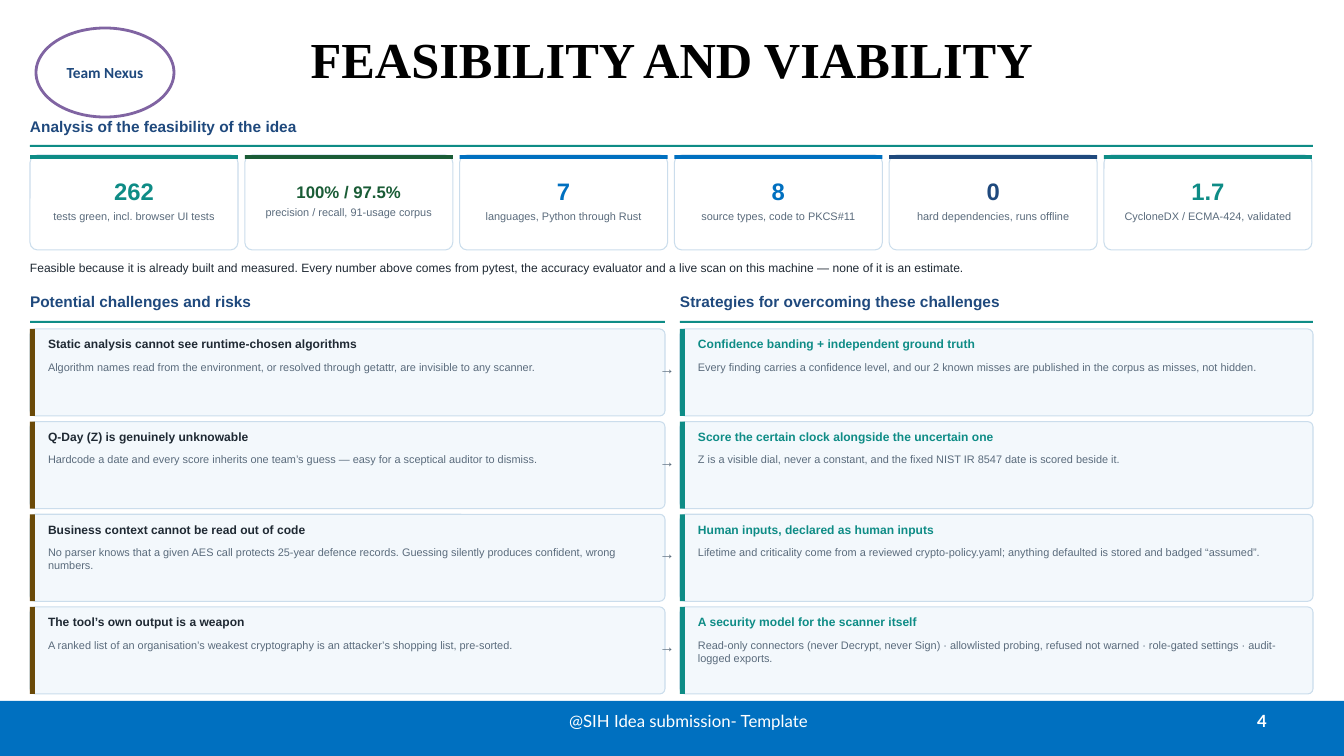
from collections import namedtuple

from pptx import Presentation
from pptx import util as u
from pptx.dml.color import RGBColor
from pptx.enum import shapes, text

PX = 914400 / 100.8
COLORS = {
    "white": "FFFFFF", "black": "000000", "blue": "0070C0", "navy": "1F497D",
    "teal": "0E8C86", "green": "1A5C36", "brown": "6B4A08", "purple": "8064A2",
    "ink": "1F2933", "grey": "5A6B7C", "border": "CBDDEC", "panel": "F3F8FC",
}
Box = namedtuple("Box", "left top width height")
SHAPE = shapes.MSO_SHAPE
ALIGN = text.PP_ALIGN
ANCHOR = text.MSO_ANCHOR

METRICS = [
    ("262", "tests green, incl. browser UI tests", "teal", 17),
    ("100% / 97.5%", "precision / recall, 91-usage corpus", "green", 12),
    ("7", "languages, Python through Rust", "blue", 17),
    ("8", "source types, code to PKCS#11", "blue", 17),
    ("0", "hard dependencies, runs offline", "navy", 17),
    ("1.7", "CycloneDX / ECMA-424, validated", "teal", 17),
]
RISKS = [
    ("Static analysis cannot see runtime-chosen algorithms",
     "Algorithm names read from the environment, or resolved through getattr, are invisible to any scanner."),
    ("Q-Day (Z) is genuinely unknowable",
     "Hardcode a date and every score inherits one team’s guess — easy for a sceptical auditor to dismiss."),
    ("Business context cannot be read out of code",
     "No parser knows that a given AES call protects 25-year defence records. "
     "Guessing silently produces confident, wrong numbers."),
    ("The tool’s own output is a weapon",
     "A ranked list of an organisation’s weakest cryptography is an attacker’s shopping list, pre-sorted."),
]
STRATEGIES = [
    ("Confidence banding + independent ground truth",
     "Every finding carries a confidence level, and our 2 known misses are published "
     "in the corpus as misses, not hidden."),
    ("Score the certain clock alongside the uncertain one",
     "Z is a visible dial, never a constant, and the fixed NIST IR 8547 date is scored beside it."),
    ("Human inputs, declared as human inputs",
     "Lifetime and criticality come from a reviewed crypto-policy.yaml; "
     "anything defaulted is stored and badged “assumed”."),
    ("A security model for the scanner itself",
     "Read-only connectors (never Decrypt, never Sign) · allowlisted probing, refused not warned · "
     "role-gated settings · audit-logged exports."),
]


def px(length):
    return u.Emu(round(length * PX))


def rgb(name):
    return RGBColor.from_string(COLORS[name])


def spread(start, extent, size, count):
    """Return the starts of equal items that fill an extent with equal gaps."""
    pitch = (extent - size) / (count - 1)
    return [start + index * pitch for index in range(count)]


def add_run(paragraph, words, size, color, bold=False, font="Arial"):
    run = paragraph.add_run()
    run.text = words
    run.font.size = u.Pt(size)
    run.font.name = font
    run.font.bold = bold
    run.font.color.rgb = rgb(color)


def add_panel(slide, kind, box, fill, line=None, line_width=0.75, radius=None):
    shape = slide.shapes.add_shape(kind, *map(px, box))
    shape.shadow.inherit = False
    shape.fill.solid()
    shape.fill.fore_color.rgb = rgb(fill)
    if line:
        shape.line.color.rgb = rgb(line)
        shape.line.width = u.Pt(line_width)
    else:
        shape.line.fill.background()
    if radius is not None:
        shape.adjustments[0] = radius
    return shape


def set_margins(frame, horizontal, vertical):
    frame.margin_left = frame.margin_right = px(horizontal)
    frame.margin_top = frame.margin_bottom = px(vertical)


def add_label(slide, box, words, size, color, bold=False, font="Arial",
              align=ALIGN.LEFT, anchor=ANCHOR.TOP, spacing=None, margins=(0, 0)):
    frame = slide.shapes.add_textbox(*map(px, box)).text_frame
    frame.word_wrap = True
    frame.vertical_anchor = anchor
    set_margins(frame, *margins)
    paragraph = frame.paragraphs[0]
    paragraph.alignment = align
    if spacing:
        paragraph.line_spacing = spacing
    add_run(paragraph, words, size, color, bold, font)


def add_title(slide, box):
    title = slide.shapes.title
    title.left, title.top, title.width, title.height = map(px, box)
    title.text_frame.vertical_anchor = ANCHOR.MIDDLE
    paragraph = title.text_frame.paragraphs[0]
    paragraph.alignment = ALIGN.CENTER
    add_run(paragraph, "FEASIBILITY AND VIABILITY", 36, "black", True, "Times New Roman")


def add_footer(slide, box):
    add_panel(slide, SHAPE.RECTANGLE, box, "blue")
    style = {"font": "Lato", "anchor": ANCHOR.MIDDLE, "margins": (10, 5)}
    add_label(slide, Box(box.left + 964, box.top, 313, 40), "4", 12, "white", True,
              align=ALIGN.RIGHT, **style)
    add_label(slide, Box(box.left + 512, box.top, 353, 40), "@SIH Idea submission- Template",
              12, "white", align=ALIGN.CENTER, **style)


def add_team_badge(slide, box):
    frame = add_panel(slide, SHAPE.OVAL, box, "white", "purple", 2).text_frame
    frame.vertical_anchor = ANCHOR.MIDDLE
    paragraph = frame.paragraphs[0]
    paragraph.alignment = ALIGN.CENTER
    add_run(paragraph, "Team Nexus", 11, "navy", True, "Calibri")


def add_heading(slide, box, words):
    """Place a section heading with a thin rule along the bottom of its box."""
    add_label(slide, box, words, 11, "navy", True)
    add_panel(slide, SHAPE.RECTANGLE, Box(box.left, box.top + box.height, box.width, 2), "teal")


def add_metric(slide, box, value, caption, color, size):
    card = add_panel(slide, SHAPE.ROUNDED_RECTANGLE, box, "white", "border", radius=0.08)
    frame = card.text_frame
    frame.word_wrap = True
    frame.vertical_anchor = ANCHOR.MIDDLE
    set_margins(frame, 5, 3)
    number, note = frame.paragraphs[0], frame.add_paragraph()
    number.alignment = note.alignment = ALIGN.CENTER
    number.line_spacing, note.line_spacing = 0.82, 0.98
    number.space_after = u.Pt(3)
    add_run(number, value, size, color, True)
    add_run(note, caption, 7.8, "grey")
    add_panel(slide, SHAPE.RECTANGLE, box._replace(height=4), color)


def add_metrics(slide, box):
    card_width = 208
    lefts = spread(box.left, box.width, card_width, len(METRICS))
    for left, metric in zip(lefts, METRICS):
        add_metric(slide, box._replace(left=left, width=card_width), *metric)


def add_card(slide, box, heading, body, accent, heading_color):
    add_panel(slide, SHAPE.ROUNDED_RECTANGLE, box, "panel", "border", radius=0.06)
    add_panel(slide, SHAPE.RECTANGLE, box._replace(width=5), accent)
    left = box.left + 18
    add_label(slide, Box(left, box.top + 8, box.width - 30, 20), heading, 8.6, heading_color, True)
    add_label(slide, Box(left, box.top + 31, box.width - 32, 50), body, 7.8, "grey", spacing=1.02)


def add_risk_table(slide, box):
    """Pair each risk card with its strategy card, joined by an arrow sign."""
    card_height = 87
    risk_column = box._replace(width=635, height=card_height)
    strategy_column = Box(box.left + 650, box.top, box.width - 650, card_height)
    for column, words in ((risk_column, "Potential challenges and risks"),
                          (strategy_column, "Strategies for overcoming these challenges")):
        add_heading(slide, column._replace(height=29), words)
    tops = spread(box.top + 37, box.height - 37, card_height, len(RISKS))
    for top, risk, strategy in zip(tops, RISKS, STRATEGIES):
        add_card(slide, risk_column._replace(top=top), *risk, "brown", "ink")
        add_card(slide, strategy_column._replace(top=top), *strategy, "teal", "teal")
        add_label(slide, Box(box.left + 625, top + 30, 24, 22), "→", 11, "grey", True,
                  align=ALIGN.CENTER)


def main():
    presentation = Presentation()
    presentation.slide_width, presentation.slide_height = px(1344), px(756)
    slide = presentation.slides.add_slide(presentation.slide_layouts[5])
    add_footer(slide, Box(0, 701, 1344, 55))
    add_title(slide, Box(67, -5, 1210, 126))
    add_team_badge(slide, Box(36, 28, 138, 89))
    add_heading(slide, Box(30, 117, 1283, 28), "Analysis of the feasibility of the idea")
    add_metrics(slide, Box(30, 155, 1282, 95))
    add_label(slide, Box(30, 260, 1283, 24),
              "Feasible because it is already built and measured. Every number above comes from pytest, "
              "the accuracy evaluator and a live scan on this machine — none of it is an estimate.",
              8.6, "ink")
    add_risk_table(slide, Box(30, 292, 1283, 402))
    presentation.save("out.pptx")


if __name__ == "__main__":
    main()
